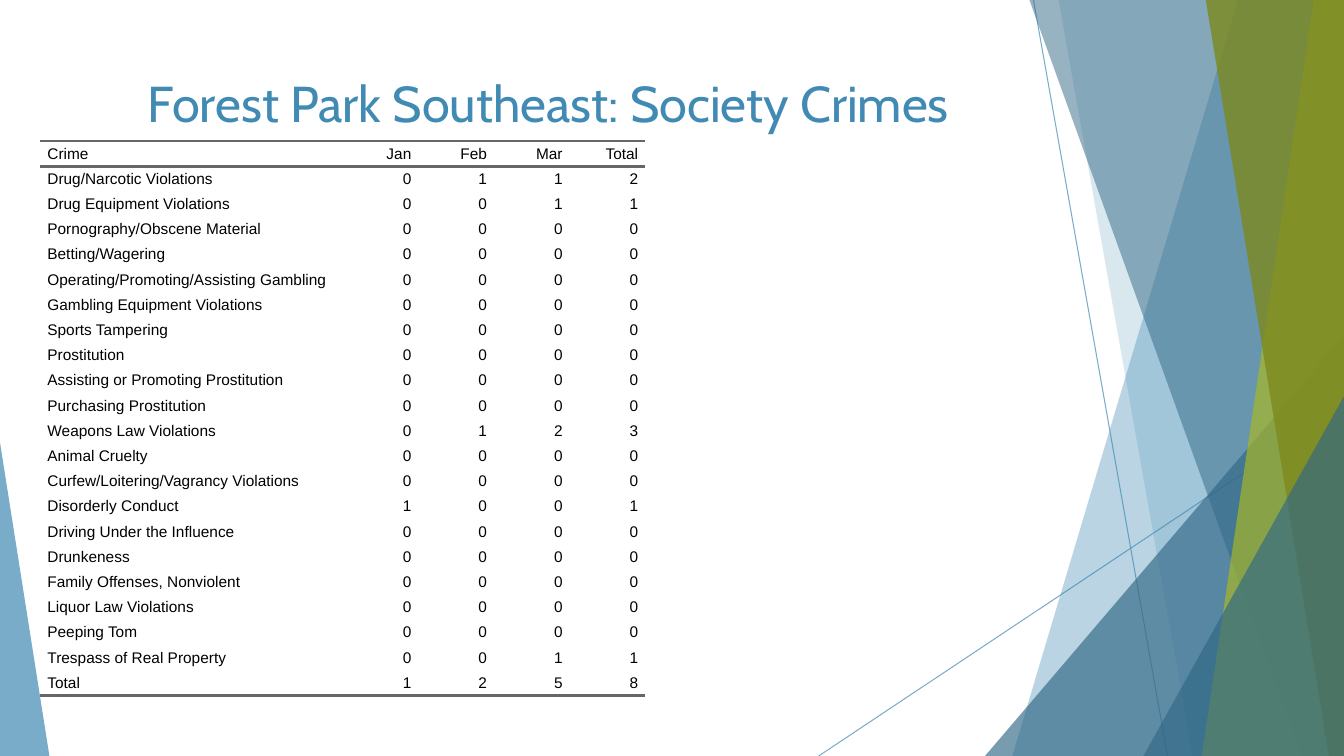
from dataclasses import dataclass

from lxml.etree import SubElement
from pptx import Presentation
from pptx.dml.color import RGBColor
from pptx.enum.shapes import MSO_CONNECTOR, MSO_SHAPE
from pptx.enum.text import MSO_ANCHOR, MSO_AUTO_SIZE, PP_ALIGN
from pptx.oxml.ns import qn
from pptx.util import Pt

PX = 9144  # EMU in one px, 100 px to the inch
WIDE, HIGH = 1333, 750
PLAIN = "{2D5ABB26-0587-4C30-8999-92F81FD0307C}"  # table style without grid

CRIMES = [
    ("Drug/Narcotic Violations", 0, 1, 1),
    ("Drug Equipment Violations", 0, 0, 1),
    ("Pornography/Obscene Material", 0, 0, 0),
    ("Betting/Wagering", 0, 0, 0),
    ("Operating/Promoting/Assisting Gambling", 0, 0, 0),
    ("Gambling Equipment Violations", 0, 0, 0),
    ("Sports Tampering", 0, 0, 0),
    ("Prostitution", 0, 0, 0),
    ("Assisting or Promoting Prostitution", 0, 0, 0),
    ("Purchasing Prostitution", 0, 0, 0),
    ("Weapons Law Violations", 0, 1, 2),
    ("Animal Cruelty", 0, 0, 0),
    ("Curfew/Loitering/Vagrancy Violations", 0, 0, 0),
    ("Disorderly Conduct", 1, 0, 0),
    ("Driving Under the Influence", 0, 0, 0),
    ("Drunkeness", 0, 0, 0),
    ("Family Offenses, Nonviolent", 0, 0, 0),
    ("Liquor Law Violations", 0, 0, 0),
    ("Peeping Tom", 0, 0, 0),
    ("Trespass of Real Property", 0, 0, 1),
]


@dataclass
class Theme:
    blue: str = "418AB3"
    navy: str = "316886"
    lime: str = "A6B727"
    olive: str = "7D891D"
    ink: str = "000000"
    rule: str = "666666"
    head: str = "Cabin"
    body: str = "Arial"
    big: int = 36
    small: int = 11
    thin: float = 0.75
    thick: int = 2


class Deck:
    def __init__(self, theme):
        self.theme = theme
        self.file = Presentation()
        self.file.slide_width = WIDE * PX
        self.file.slide_height = HIGH * PX
        self.slide = self.file.slides.add_slide(self.file.slide_layouts[5])
        self.decor = self.slide.shapes.add_group_shape().shapes

    def fade(self, shape, alpha):
        color = shape._element.spPr.find(".//" + qn("a:srgbClr"))
        SubElement(color, qn("a:alpha"), val=str(alpha * 1000))

    def paint(self, shape, color, alpha):
        shape.shadow.inherit = False
        shape.fill.solid()
        shape.fill.fore_color.rgb = RGBColor.from_string(color)
        shape.line.fill.background()
        self.fade(shape, alpha)

    def line(self, *ends):
        line = self.decor.add_connector(
            MSO_CONNECTOR.STRAIGHT, *(end * PX for end in ends))
        line.line.color.rgb = RGBColor.from_string(self.theme.blue)
        line.line.width = Pt(self.theme.thin)
        self.fade(line, 70)
        SubElement(line._element.spPr, qn("a:effectLst"))

    def band(self, top, foot, color, alpha):
        """Fill from a slanted left edge to the right side of the slide."""
        path = self.decor.build_freeform(top, 0, scale=PX)
        path.add_line_segments([(WIDE, 0), (WIDE, HIGH), (foot, HIGH)])
        self.paint(path.convert_to_shape(), color, alpha)

    def wedge(self, left, top, width, peak, color, alpha):
        """Triangle standing on the bottom of the slide."""
        shape = self.decor.add_shape(
            MSO_SHAPE.ISOSCELES_TRIANGLE,
            left * PX, top * PX, width * PX, (HIGH - top) * PX)
        shape.adjustments[0] = peak
        self.paint(shape, color, alpha)

    def style(self, para, face, size, color, align):
        para.alignment = align
        para.font.name = face
        para.font.size = Pt(size)
        para.font.color.rgb = RGBColor.from_string(color)

    def title(self, text, left, top, width, height):
        box = self.slide.shapes.title
        box.left, box.top = left * PX, top * PX
        box.width, box.height = width * PX, height * PX
        frame = box.text_frame
        frame.text = text
        frame.word_wrap = True
        frame.auto_size = MSO_AUTO_SIZE.NONE
        frame.vertical_anchor = MSO_ANCHOR.TOP
        para = frame.paragraphs[0]
        para.line_spacing = 1.0
        self.style(para, self.theme.head, self.theme.big, self.theme.blue,
                   PP_ALIGN.CENTER)
        self.slide.shapes._spTree.append(box._element)  # bring to front

    def border(self, cell, side):
        edge = SubElement(cell._tc.get_or_add_tcPr(), qn("a:" + side),
                          w=str(Pt(self.theme.thick)))
        fill = SubElement(edge, qn("a:solidFill"))
        SubElement(fill, qn("a:srgbClr"), val=self.theme.rule)

    def cell(self, cell, text, align, sides):
        cell.margin_left = cell.margin_right = 0
        cell.margin_top = cell.margin_bottom = 0
        cell.vertical_anchor = MSO_ANCHOR.MIDDLE
        for side in sides:
            self.border(cell, side)
        cell.fill.background()
        cell.text = str(text)
        para = cell.text_frame.paragraphs[0]
        props = para._p.get_or_add_pPr()
        for name in ("marL", "marR"):
            props.set(name, str(7 * PX))
        self.style(para, self.theme.body, self.theme.small, self.theme.ink,
                   align)

    def table(self, rows, left, top, widths, height):
        frame = self.slide.shapes.add_table(
            len(rows), len(widths), left * PX, top * PX,
            sum(widths) * PX, len(rows) * height * PX)
        grid = frame.table
        grid.first_row = grid.horz_banding = False
        next(frame._element.iter(qn("a:tableStyleId"))).text = PLAIN
        for column, width in zip(grid.columns, widths):
            column.width = width * PX
        rules = {0: ("lnT", "lnB"), len(rows) - 1: ("lnB",)}
        for r, row in enumerate(rows):
            grid.rows[r].height = height * PX
            for c, text in enumerate(row):
                align = PP_ALIGN.RIGHT if c else PP_ALIGN.LEFT
                self.cell(grid.cell(r, c), text, align, rules.get(r, ()))


def main():
    theme = Theme()
    deck = Deck(theme)

    # Facets at the sides
    deck.line(1025, 0, 1158, HIGH)
    deck.line(WIDE, 403, 812, HIGH)
    deck.band(1228, 1004, theme.blue, 36)
    deck.band(1050, 1183, theme.blue, 20)
    deck.wedge(977, 333, 356, 1, theme.navy, 66)
    deck.band(1021, 1291, theme.navy, 50)
    deck.band(1303, 1192, theme.lime, 70)
    deck.band(1196, 1318, theme.olive, 80)
    deck.wedge(1134, 393, 199, 1, theme.navy, 66)
    deck.wedge(0, 439, 49, 0, theme.blue, 70)

    # Crime counts, with totals by crime and by month
    months = [sum(month) for month in list(zip(*CRIMES))[1:]]
    counts = CRIMES + [("Total", *months)]
    rows = [("Crime", "Jan", "Feb", "Mar", "Total")]
    rows += [(*row, sum(row[1:])) for row in counts]
    deck.table(rows, 40, 140, [300] + [75] * 4, 25)

    # Heading
    deck.title("Forest Park Southeast: Society Crimes", 74, 67, 940, 144)

    deck.file.save("out.pptx")


if __name__ == "__main__":
    main()
